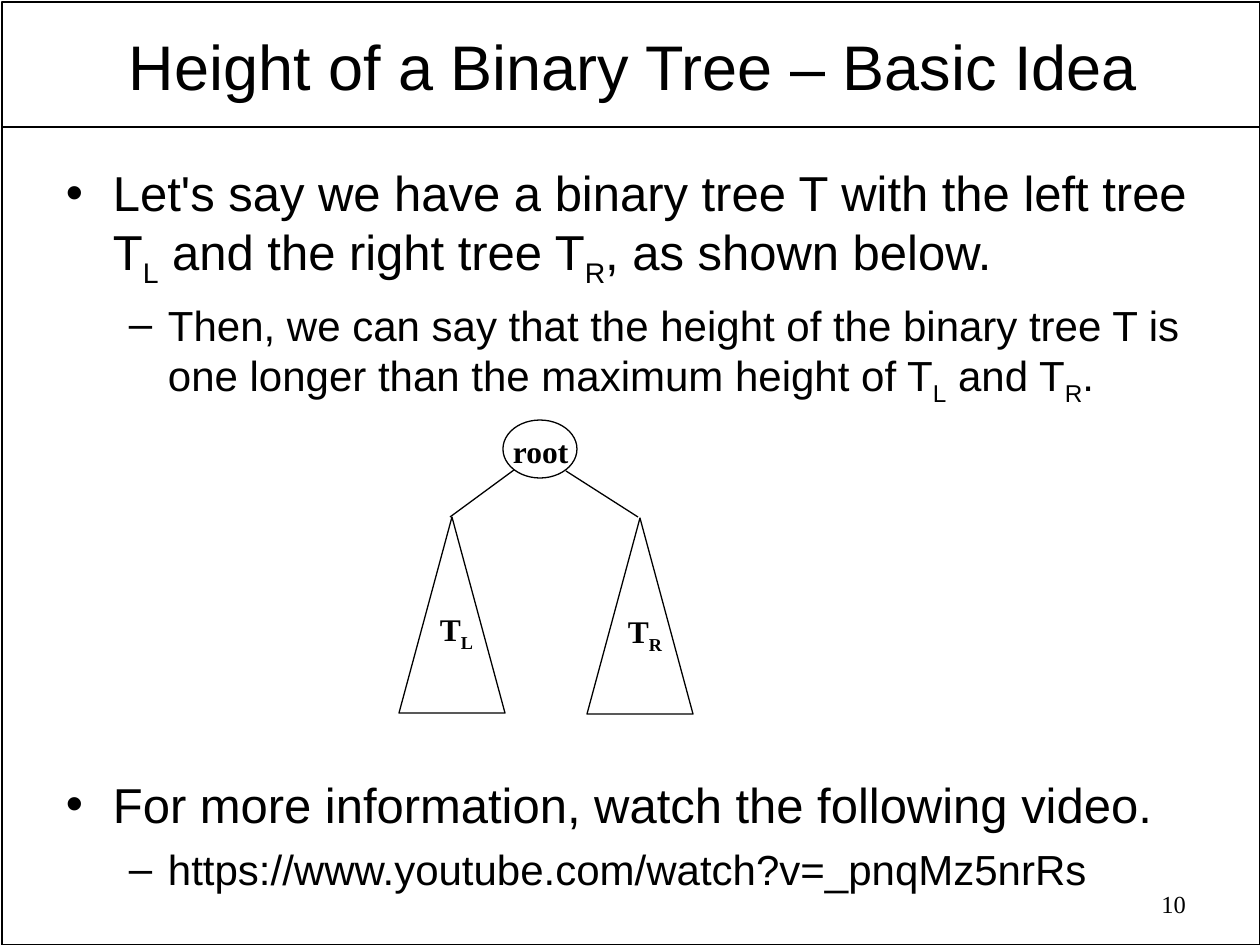
from lxml.etree import SubElement
from pptx import Presentation
from pptx.dml.color import RGBColor
from pptx.enum.shapes import MSO_CONNECTOR as Connector, MSO_SHAPE as Preset
from pptx.enum.text import MSO_ANCHOR as Anchor, MSO_AUTO_SIZE as AutoSize, PP_ALIGN as Align
from pptx.oxml.ns import qn
from pptx.util import Pt

# Content
TITLE = "Height of a Binary Tree – Basic Idea"
BULLETS = [  # level, space before, runs as (text, is subscript)
    (0, 0, [("Let's say we have a binary tree T with the left tree T", False), ("L", True),
            (" and the right tree T", False), ("R", True), (", as shown below.", False)]),
    (1, 6, [("Then, we can say that the height of the binary tree T is one longer "
             "than the maximum height of T", False), ("L", True),
            (" and T", False), ("R", True), (".", False)]),
    (0, 210, [("For more information, watch the following video.", False)]),
    (1, 6, [("https://www.youtube.com/watch?v=_pnqMz5nrRs", False)]),
]
SUBTREES = [  # letter, triangle left and top, label left and top, branch start and end
    ("L", (399, 517), (427, 604), (514, 470), (450, 517)),
    ("R", (587, 518), (615, 606), (566, 471), (638, 517)),
]
PAGE_NUMBER = "10"

# Formats, with lengths in px
COLORS = {"ink": "000000"}
LEVELS = [
    {"char": "•", "margin": 47, "indent": -47, "size": 28},
    {"char": "–", "margin": 102, "indent": -39, "size": 24},
]
TITLE_FONT = {"name": "Arial", "size": Pt(36)}
NUMBER_FONT = {"name": "Times New Roman", "size": Pt(14)}
LABEL_FONT = {"name": "Times New Roman", "size": Pt(18), "bold": True}
TRIANGLE = (106, 196)
SCALE = 914400 / 126


def px(value):
    return round(value * SCALE)


def ink():
    return RGBColor.from_string(COLORS["ink"])


def add_box(shapes, box, insets=(13, 6), wrap=True, anchor=Anchor.TOP):
    frame = shapes.add_textbox(*map(px, box)).text_frame
    across, down = map(px, insets)
    settings = {"word_wrap": wrap, "vertical_anchor": anchor,
                "auto_size": AutoSize.NONE if wrap else AutoSize.SHAPE_TO_FIT_TEXT,
                "margin_left": across, "margin_right": across,
                "margin_top": down, "margin_bottom": down}
    for name, value in settings.items():
        setattr(frame, name, value)
    return frame


def add_runs(paragraph, runs, font):
    for text, is_subscript in runs:
        run = paragraph.add_run()
        run.text = text
        for name, value in font.items():
            setattr(run.font, name, value)
        run.font.color.rgb = ink()
        if is_subscript:
            run.font._element.set("baseline", "-25000")


def add_outline(shapes, preset, box, width):
    shape = shapes.add_shape(preset, *map(px, box))
    shape.shadow.inherit = False
    shape.fill.background()
    shape.line.color.rgb = ink()
    shape.line.width = Pt(width)


def add_line(shapes, start, end, width):
    line = shapes.add_connector(Connector.STRAIGHT, *map(px, start + end))
    line.line.color.rgb = ink()
    line.line.width = Pt(width)
    SubElement(line._element.spPr, qn("a:effectLst"))


def set_bullet(paragraph, level):
    properties = paragraph._p.get_or_add_pPr()
    properties.set("marL", str(px(level["margin"])))
    properties.set("indent", str(px(level["indent"])))
    SubElement(properties, qn("a:buFont")).set("typeface", "Arial")
    SubElement(properties, qn("a:buChar")).set("char", level["char"])


def main():
    presentation = Presentation()
    presentation.slide_width, presentation.slide_height = px(1260), px(945)
    slide = presentation.slides.add_slide(presentation.slide_layouts[6])
    shapes = slide.shapes

    # Frame and title rule
    add_outline(shapes, Preset.RECTANGLE, (2, 2, 1258, 943), 1)
    add_line(shapes, (2, 127), (1259, 127), 1)

    # Title
    frame = add_box(shapes, (68, 24, 1130, 83), (9, 4), anchor=Anchor.MIDDLE)
    frame.paragraphs[0].alignment = Align.CENTER
    add_runs(frame.paragraphs[0], [(TITLE, False)], TITLE_FONT)

    # Bullets, leaving room for the tree
    frame = add_box(shapes, (53, 157, 1155, 745))
    for index, (depth, space, runs) in enumerate(BULLETS):
        paragraph = frame.add_paragraph() if index else frame.paragraphs[0]
        level = LEVELS[depth]
        set_bullet(paragraph, level)
        paragraph.level = depth
        paragraph.space_before = Pt(space)
        add_runs(paragraph, runs, {"name": "Arial", "size": Pt(level["size"])})

    # Page number
    frame = add_box(shapes, (904, 883, 295, 45))
    frame.paragraphs[0].alignment = Align.RIGHT
    add_runs(frame.paragraphs[0], [(PAGE_NUMBER, False)], NUMBER_FONT)

    # Tree: root, then a branch, triangle and label for each subtree
    tree = shapes.add_group_shape().shapes
    frame = add_box(tree, (500, 426, 84, 50), wrap=False)
    add_runs(frame.paragraphs[0], [("root", False)], LABEL_FONT)
    add_outline(tree, Preset.OVAL, (503, 420, 74, 58), 0.75)
    for letter, corner, label, start, end in SUBTREES:
        add_line(tree, start, end, 0.75)
        add_outline(tree, Preset.ISOSCELES_TRIANGLE, corner + TRIANGLE, 0.75)
        frame = add_box(tree, label + (62, 55), wrap=False)
        add_runs(frame.paragraphs[0], [("T", False), (letter, True)], LABEL_FONT)

    presentation.save("out.pptx")


if __name__ == "__main__":
    main()
